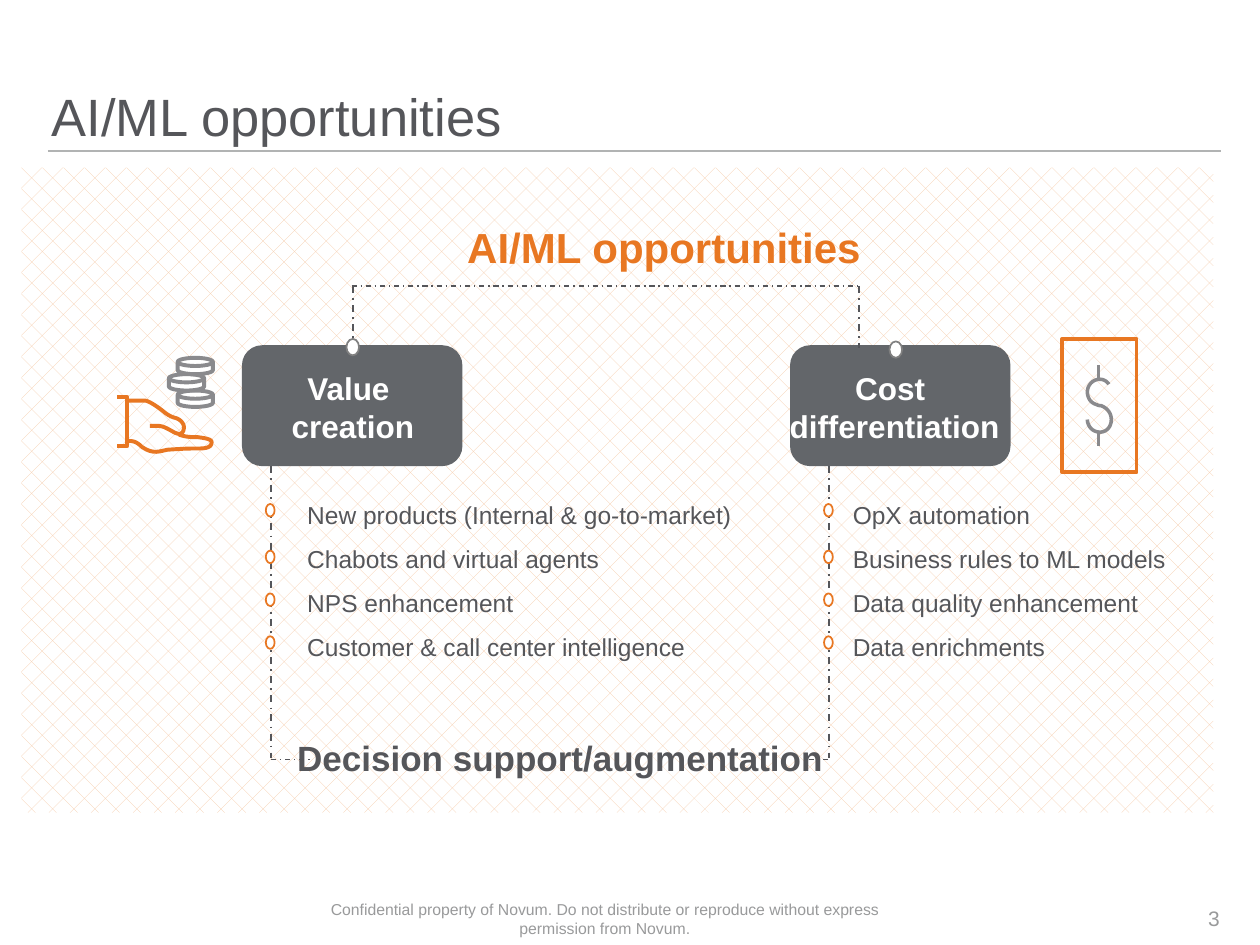
from lxml import etree
from pptx import Presentation
from pptx.dml.color import RGBColor
from pptx.enum.dml import MSO_LINE, MSO_PATTERN
from pptx.enum.shapes import MSO_CONNECTOR, MSO_SHAPE
from pptx.enum.text import MSO_ANCHOR, MSO_AUTO_SIZE, PP_ALIGN
from pptx.oxml.ns import qn
from pptx.util import Inches, Pt

DASH = MSO_LINE.DASH_DOT
DIAMOND = MSO_PATTERN.DOTTED_DIAMOND
STRAIGHT = MSO_CONNECTOR.STRAIGHT
RECT, ROUND = MSO_SHAPE.RECTANGLE, MSO_SHAPE.ROUNDED_RECTANGLE
OVAL, CAN = MSO_SHAPE.OVAL, MSO_SHAPE.CAN
MIDDLE, BOTTOM = MSO_ANCHOR.MIDDLE, MSO_ANCHOR.BOTTOM
LEFT, CENTER, RIGHT = PP_ALIGN.LEFT, PP_ALIGN.CENTER, PP_ALIGN.RIGHT
FIT, FIXED = MSO_AUTO_SIZE.SHAPE_TO_FIT_TEXT, MSO_AUTO_SIZE.NONE

WHITE = RGBColor(0xFF, 0xFF, 0xFF)
ORANGE = RGBColor(0xE8, 0x77, 0x22)
PEACH = RGBColor(0xF6, 0xC9, 0xA7)
INK = RGBColor(0x55, 0x56, 0x5A)
SLATE = RGBColor(0x63, 0x66, 0x6A)
STEEL = RGBColor(0x8A, 0x8A, 0x8D)
GRAY = RGBColor(0x80, 0x80, 0x80)
PALE = RGBColor(0x99, 0x9A, 0x9B)
RULE = RGBColor(0xB1, 0xB3, 0xB3)


def trace(nodes, steps=8):
    """Points along joined cubic curves: a start, then three nodes a curve."""
    points = [nodes[0]]
    for i in range(0, len(nodes) - 1, 3):
        for k in range(1, steps + 1):
            t = k / steps
            mix = ((1 - t) ** 3, 3 * t * (1 - t) ** 2, 3 * t * t * (1 - t), t ** 3)
            points.append(tuple(
                sum(m * node[axis] for m, node in zip(mix, nodes[i:i + 4]))
                for axis in (0, 1)))
    return points


class Board:
    font = "Arial"

    def __init__(self, slide):
        self.slide = slide
        self.shapes = slide.shapes

    def put(self, frame, lines, size, color, bold=False, align=LEFT, space=None):
        for i, line in enumerate(lines):
            para = frame.paragraphs[0] if i == 0 else frame.add_paragraph()
            para.text = line
            para.alignment = align
            para.line_spacing = space
            para.font.name = self.font
            para.font.size = Pt(size)
            para.font.bold = bold
            para.font.color.rgb = color

    def bare(self, frame, anchor):
        frame.margin_left = frame.margin_right = 0
        frame.margin_top = frame.margin_bottom = 0
        frame.vertical_anchor = anchor

    def title(self, text, box, size):
        shape = self.shapes.title
        shape.left, shape.top, shape.width, shape.height = map(Inches, box)
        self.bare(shape.text_frame, BOTTOM)
        shape.text_frame.auto_size = FIXED
        self.put(shape.text_frame, [text], size, INK, space=0.9)

    def text(self, lines, box, size, color, wrap=False, **style):
        frame = self.shapes.add_textbox(*map(Inches, box)).text_frame
        frame.word_wrap = wrap
        frame.auto_size = FIT
        self.put(frame, lines, size, color, **style)

    def foot(self, line, box, size, align):
        frame = self.shapes.add_textbox(*map(Inches, box)).text_frame
        frame.word_wrap = True
        self.bare(frame, MIDDLE)
        self.put(frame, [line], size, PALE, align=align)

    def paint(self, shape, fill, line, width):
        shape.shadow.inherit = False
        if fill is None:
            shape.fill.background()
        else:
            shape.fill.solid()
            shape.fill.fore_color.rgb = fill
        if line is None:
            shape.line.fill.background()
        else:
            shape.line.color.rgb = line
            shape.line.width = Pt(width)

    def shape(self, kind, box, fill=None, line=None, width=1):
        shape = self.shapes.add_shape(kind, *map(Inches, box))
        self.paint(shape, fill, line, width)
        return shape

    def line(self, start, end, color=INK, width=1, dash=DASH):
        link = self.shapes.add_connector(STRAIGHT, *map(Inches, start + end))
        link.line.color.rgb = color
        link.line.width = Pt(width)
        link.line.dash_style = dash
        etree.SubElement(link._element.spPr, qn("a:effectLst"))

    def stroke(self, points, color, width):
        first, *rest = [(Inches(x), Inches(y)) for x, y in points]
        pen = self.shapes.build_freeform(*first)
        pen.add_line_segments(rest, close=False)
        self.paint(pen.convert_to_shape(), None, color, width)


def main():
    deck = Presentation()
    deck.slide_width, deck.slide_height = Inches(10), Inches(7.5)
    board = Board(deck.slides.add_slide(deck.slide_layouts[5]))

    # Title, rule and patterned panel
    board.line((0.38, 1.2), (9.69, 1.2), RULE, dash=None)
    panel = board.shape(RECT, (0.17, 1.33, 9.46, 5.12), WHITE)
    panel.fill.patterned()
    panel.fill.pattern = DIAMOND
    panel.fill.fore_color.rgb = PEACH
    panel.fill.back_color.rgb = WHITE
    board.title("AI/ML opportunities", (0.41, 0, 9.28, 1.17), 30)

    # Heading and bracket
    board.text(["AI/ML opportunities"], (3.61, 1.71, 3.35, 0.5), 24, ORANGE, bold=True)
    board.line((2.79, 2.27), (6.81, 2.27), width=0.75)

    # Branches: card left, stem, label, label box, knob, rail, list box, items
    branches = [
        (1.92, 2.8, "Value \ncreation", (2.21, 2.88, 1.18, 0.71),
         (2.75, 2.69), 2.15, (2.34, 3.8, 5, 1.82),
         ["New products (Internal & go-to-market)", "Chabots and virtual agents",
          "NPS enhancement", "Customer & call center intelligence"]),
        (6.27, 6.82, "Cost \ndifferentiation", (6.16, 2.88, 1.88, 0.71),
         (7.06, 2.71), 6.58, (6.67, 3.8, 3.47, 1.87),
         ["OpX automation", "Business rules to ML models",
          "Data quality enhancement", "Data enrichments"]),
    ]
    for left, stem, label, spot, knob, rail, area, items in branches:
        board.shape(ROUND, (left, 2.74, 1.75, 0.96), SLATE)
        board.line((stem, 2.27), (stem, 2.76))
        board.text([label], spot, 18, WHITE, bold=True, align=CENTER)
        board.shape(OVAL, knob + (0.1, 0.13), WHITE, GRAY)
        board.text(items, area, 14, INK, wrap=True, space=1.5)
        board.line((rail, 3.7), (rail, 6.02))
        for top in (4, 4.37, 4.71, 5.05):
            board.shape(OVAL, (rail - 0.04, top, 0.07, 0.1), WHITE, ORANGE)

    # Bill with dollar sign
    board.shape(RECT, (8.43, 2.69, 0.59, 1.06), line=ORANGE, width=2.25)
    board.stroke(trace([
        (8.8, 3.05), (8.79, 3.03), (8.76, 3.01), (8.73, 3.01),
        (8.67, 3.01), (8.63, 3.06), (8.63, 3.11),
        (8.63, 3.16), (8.66, 3.2), (8.7, 3.21),
        (8.72, 3.22), (8.73, 3.22), (8.74, 3.22),
        (8.79, 3.24), (8.82, 3.28), (8.82, 3.33),
        (8.82, 3.39), (8.78, 3.43), (8.73, 3.43),
        (8.67, 3.43), (8.63, 3.38), (8.63, 3.33)]), STEEL, 2)
    for top, end in ((2.9, 3.01), (3.43, 3.54)):
        board.line((8.72, top), (8.72, end), STEEL, 2, None)

    # Hand: cuff, thumb side and palm
    board.stroke([(0.93, 3.15), (1.01, 3.15), (1.01, 3.54), (0.93, 3.54)], ORANGE, 2.25)
    board.stroke([(1.01, 3.18)] + trace([
        (1.15, 3.18), (1.16, 3.18), (1.2, 3.19), (1.29, 3.26),
        (1.35, 3.31), (1.37, 3.31), (1.4, 3.32),
        (1.43, 3.33), (1.46, 3.36), (1.46, 3.39),
        (1.46, 3.44), (1.43, 3.46), (1.38, 3.43),
        (1.34, 3.41), (1.3, 3.38), (1.25, 3.38)]) + [(1.19, 3.38)], ORANGE, 2.25)
    board.stroke(trace([
        (1.42, 3.45), (1.48, 3.47), (1.52, 3.47), (1.57, 3.47),
        (1.65, 3.48), (1.68, 3.49), (1.68, 3.51),
        (1.68, 3.55), (1.64, 3.56), (1.58, 3.56),
        (1.53, 3.56), (1.46, 3.56), (1.33, 3.57),
        (1.27, 3.58), (1.22, 3.61), (1.13, 3.55),
        (1.08, 3.5), (1.05, 3.5), (1.01, 3.5)]), ORANGE, 2.25)

    # Coins, lowest first
    for left, top in ((1.41, 3.1), (1.34, 2.97), (1.41, 2.84)):
        coin = board.shape(CAN, (left, top, 0.28, 0.13), WHITE, STEEL, 2.25)
        coin.adjustments[0] = 0.5

    # Closing line
    board.line((2.15, 6.03), (2.48, 6.03), width=0.75)
    board.text(["Decision support/augmentation"], (2.26, 5.8, 4.41, 0.44), 20, INK, bold=True)
    board.line((6.42, 6.03), (6.58, 6.03), width=0.75)

    # Footer
    board.foot("Confidential property of Novum. Do not distribute or reproduce "
               "without express permission from Novum.",
               (2.37, 7.09, 4.86, 0.4), 9, CENTER)
    board.foot("3", (9.24, 7.09, 0.44, 0.4), 12, RIGHT)

    deck.save("out.pptx")


if __name__ == "__main__":
    main()
